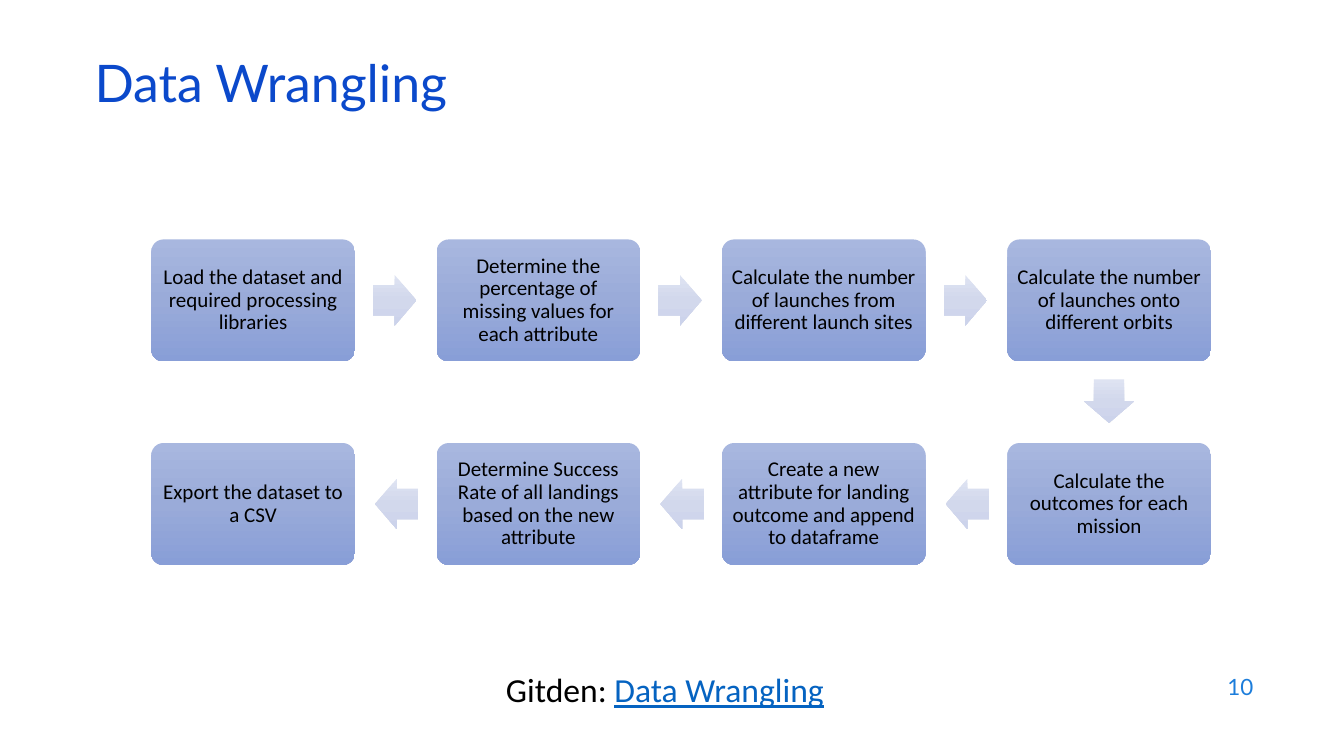
"""Build the data wrangling process slide."""
from copy import deepcopy

from pptx import Presentation
from pptx.dml.color import RGBColor
from pptx.enum import shapes, text
from pptx.oxml.ns import qn
from pptx.util import Inches, Pt

TITLE = "Data Wrangling"
PAGE_NUMBER = "10"
SOURCE = [("Gitden: ", "000000", False), ("Data Wrangling", "0563C1", True)]
STEPS = [
    "Load the dataset and required processing libraries",
    "Determine the percentage of missing values for each attribute",
    "Calculate the number of launches from different launch sites",
    "Calculate the number of launches onto different orbits",
    "Calculate the outcomes for each mission",
    "Create a new attribute for landing outcome and append to dataframe",
    "Determine Success Rate of all landings based on the new attribute",
    "Export the dataset to a CSV",
]
BOX_COLORS = ("A8B7DF", "9AABD9", "889ED7")
ARROW_COLORS = ("DEE3F2", "D2D8EC", "CCD3EB")

SLIDE_WIDTH, SLIDE_HEIGHT = 13.33, 7.5
COLUMNS = 4
FIRST_X, FIRST_Y = 2.51, 2.98
PITCH_X, PITCH_Y = 2.83, 2.02
BOX_WIDTH, BOX_HEIGHT = 2.02, 1.21
BOX_MARGIN = 0.06
ARROW_WIDTH, ARROW_HEIGHT = 0.43, 0.5
ARROW_SETBACK = 0.01


def color(value):
    return RGBColor.from_string(value)


def add_run(paragraph, words, size, font_name, value, underline=None):
    run = paragraph.add_run()
    run.text = words
    run.font.size = Pt(size)
    run.font.name = font_name
    run.font.color.rgb = color(value)
    run.font.underline = underline


def add_text_box(slide, area, anchor, alignment):
    frame = slide.shapes.add_textbox(*map(Inches, area)).text_frame
    frame.word_wrap = True
    frame.vertical_anchor = anchor
    paragraph = frame.paragraphs[0]
    paragraph.alignment = alignment
    return paragraph


def fill_gradient(shape, colors):
    shape.fill.gradient()
    shape.fill.gradient_angle = 270
    gradient = shape._element.spPr.find(qn("a:gradFill"))
    gradient.set("rotWithShape", "0")
    first = gradient.find(qn("a:gsLst"))[0]
    middle = deepcopy(first)
    middle.set("pos", "50000")
    first.addnext(middle)
    for stop, value in zip(shape.fill.gradient_stops, colors):
        stop.color.rgb = color(value)


def add_centred(slide, kind, center, size, adjustments, colors):
    left, top = (middle - length / 2 for middle, length in zip(center, size))
    shape = slide.shapes.add_shape(kind, *map(Inches, (left, top, *size)))
    shape.shadow.inherit = False
    shape.line.fill.background()
    for index, value in enumerate(adjustments):
        shape.adjustments[index] = value
    fill_gradient(shape, colors)
    return shape


def step_center(index):
    row, column = divmod(index, COLUMNS)
    if row % 2:
        column = COLUMNS - 1 - column
    return FIRST_X + column * PITCH_X, FIRST_Y + row * PITCH_Y


def add_step(slide, index, words):
    box = add_centred(slide, shapes.MSO_SHAPE.ROUNDED_RECTANGLE, step_center(index),
                      (BOX_WIDTH, BOX_HEIGHT), (0.1,), BOX_COLORS)
    frame = box.text_frame
    frame.word_wrap = True
    frame.vertical_anchor = text.MSO_ANCHOR.MIDDLE
    frame.margin_left = frame.margin_right = Inches(BOX_MARGIN)
    frame.margin_top = frame.margin_bottom = Inches(BOX_MARGIN)
    paragraph = frame.paragraphs[0]
    paragraph.alignment = text.PP_ALIGN.CENTER
    paragraph.line_spacing = 0.9
    add_run(paragraph, words, 15, "Calibri", "000000")


def add_arrow(slide, index):
    (x1, y1), (x2, y2) = step_center(index), step_center(index + 1)
    if y2 > y1:
        rotation, step_x, step_y = 90, 0, 1
    elif x2 > x1:
        rotation, step_x, step_y = 0, 1, 0
    else:
        rotation, step_x, step_y = 180, -1, 0
    center = ((x1 + x2) / 2 - step_x * ARROW_SETBACK,
              (y1 + y2) / 2 - step_y * ARROW_SETBACK)
    arrow = add_centred(slide, shapes.MSO_SHAPE.RIGHT_ARROW, center,
                        (ARROW_WIDTH, ARROW_HEIGHT), (0.6, 0.5), ARROW_COLORS)
    arrow.rotation = rotation


def main():
    presentation = Presentation()
    presentation.slide_width = Inches(SLIDE_WIDTH)
    presentation.slide_height = Inches(SLIDE_HEIGHT)
    slide = presentation.slides.add_slide(presentation.slide_layouts[6])
    middle, top = text.MSO_ANCHOR.MIDDLE, text.MSO_ANCHOR.TOP
    align = text.PP_ALIGN

    number = add_text_box(slide, (9.53, 6.59, 3, 0.44), middle, align.RIGHT)
    add_run(number, PAGE_NUMBER, 16, "Lato", "1C7DDB")
    title = add_text_box(slide, (0.84, 0.59, 11.5, 0.6), middle, align.LEFT)
    title.line_spacing = 0.7
    add_run(title, TITLE, 37, "Lato", "0B49CB")

    for index, words in enumerate(STEPS):
        add_step(slide, index, words)
        if index + 1 < len(STEPS):
            add_arrow(slide, index)

    source = add_text_box(slide, (3.46, 6.59, 6.27, 0.5), top, align.CENTER)
    for words, value, underline in SOURCE:
        add_run(source, words, 24, "Calibri", value, underline)
    presentation.save("out.pptx")


if __name__ == "__main__":
    main()
